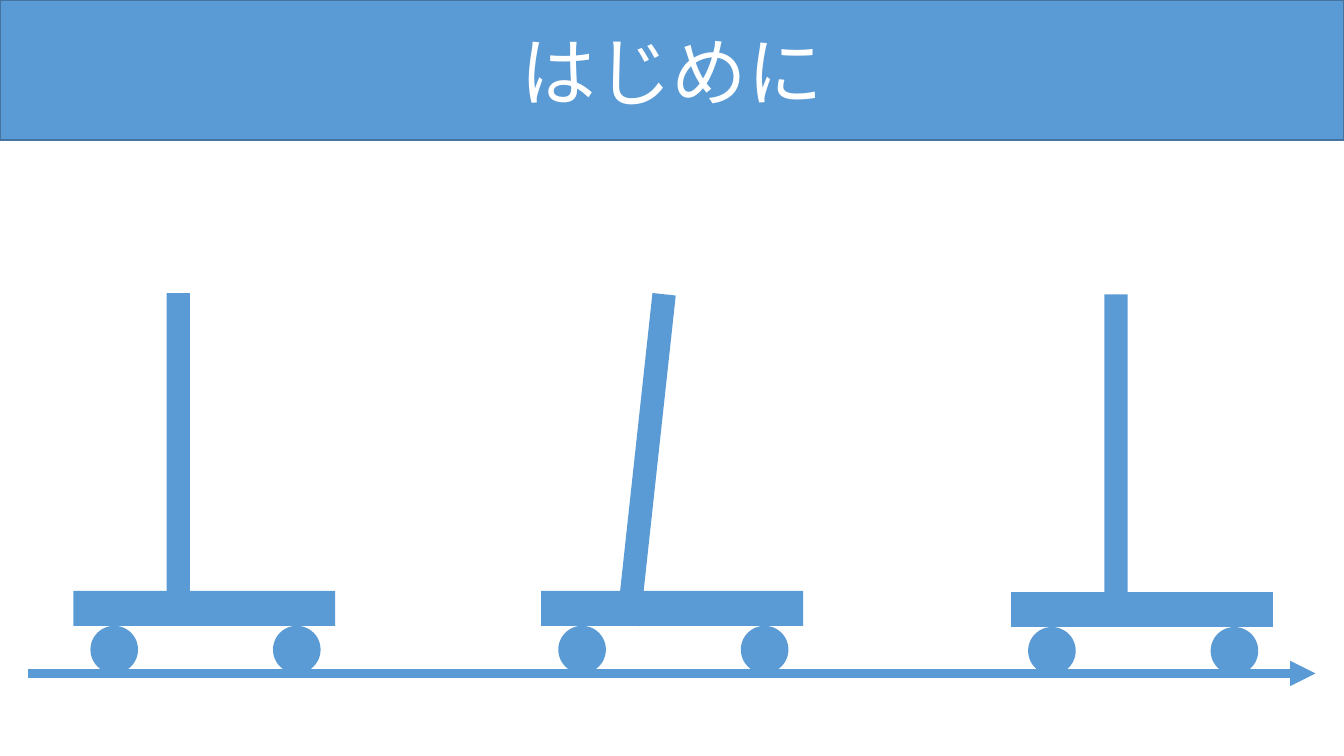
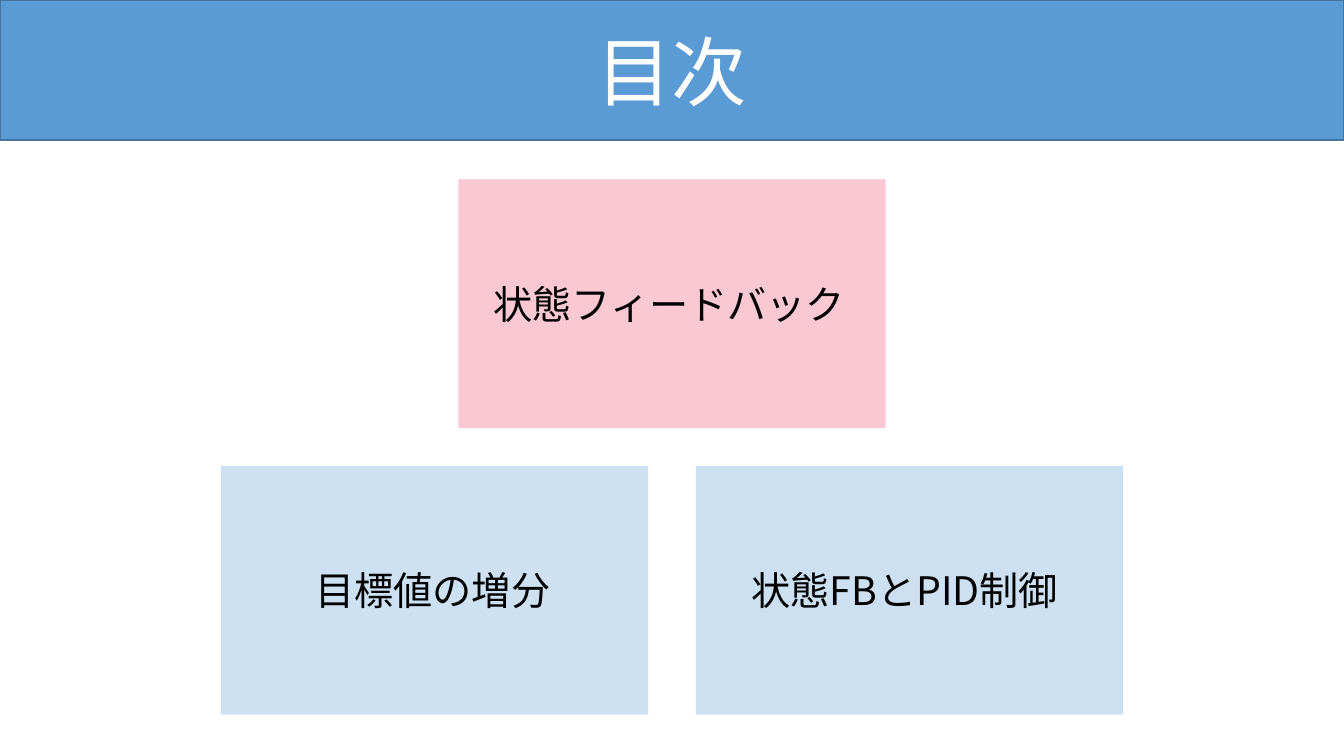
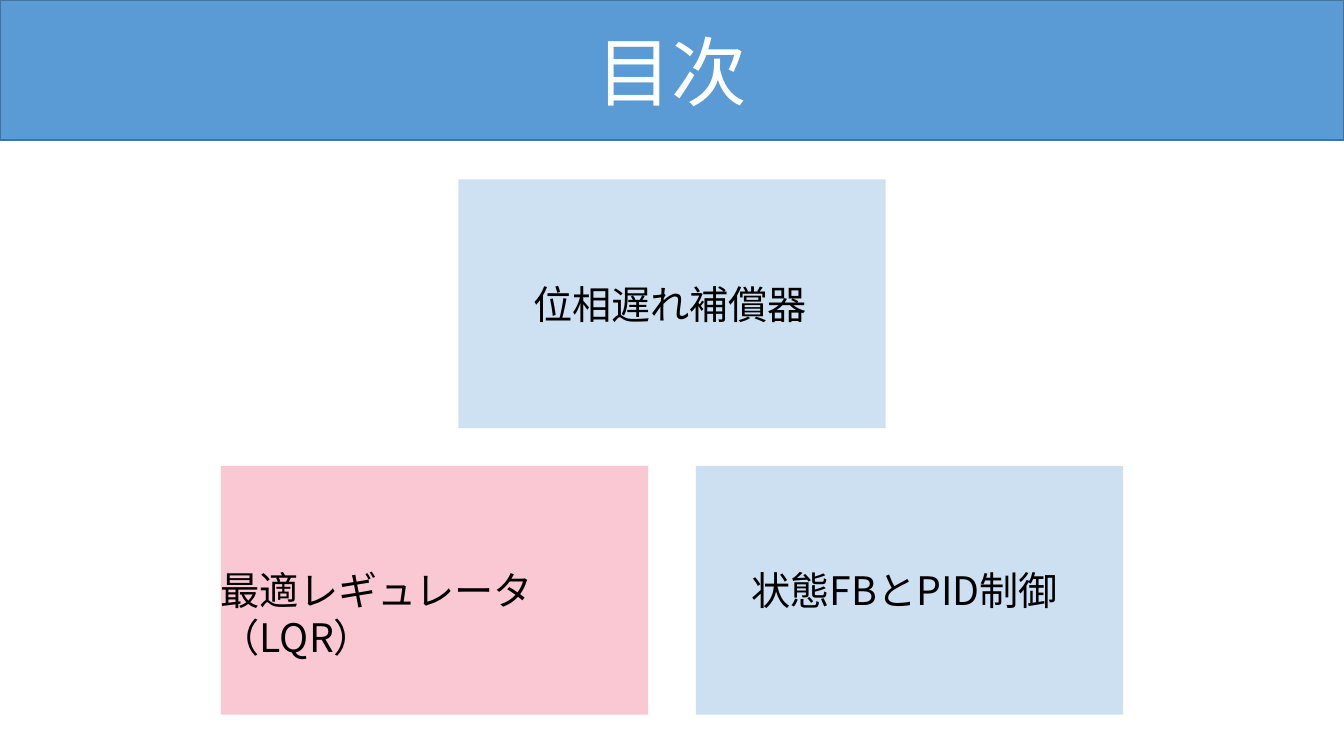
import pptx
import pptx.dml.color
import pptx.enum.dml
import pptx.enum.shapes
import pptx.enum.text
import pptx.oxml
import pptx.oxml.ns
import pptx.util

Cm, Pt = pptx.util.Cm, pptx.util.Pt
qn = pptx.oxml.ns.qn
SHAPE = pptx.enum.shapes.MSO_SHAPE
ALIGN = pptx.enum.text.PP_ALIGN
ANCHOR = pptx.enum.text.MSO_ANCHOR

# Shared look
SLIDE_W, SLIDE_H = 33.87, 19.05
BAND_H = 3.53
FONT = "Noto Sans CJK JP"
BLUE, BAND_LINE, PALE, PINK = "5B9BD5", "43739E", "CDE1F2", "FAC8D3"
TITLE = {"size": Pt(54), "color": "FFFFFF", "align": ALIGN.CENTER}
LABEL = {"size": Pt(28), "color": "000000", "align": ALIGN.LEFT}

# Card grid
CARD_W, CARD_H = 10.77, 6.27
GAP_X, GAP_Y = 1.2, 0.95
CARDS_TOP = 4.52
LABEL_H = 1.45


def rgb(value):
    return pptx.dml.color.RGBColor.from_string(value)


def add_sub(parent, tag, **attrs):
    el = pptx.oxml.parse_xml(f"<{tag} {pptx.oxml.ns.nsdecls('a')}/>")
    for name, value in attrs.items():
        el.set(name, value)
    parent.append(el)


def block(s, kind, x, y, w, h, fill=BLUE, line=None, alpha=None):
    sp = s.shapes.add_shape(kind, Cm(x), Cm(y), Cm(w), Cm(h))
    sp.shadow.inherit = False
    sp.fill.solid()
    sp.fill.fore_color.rgb = rgb(fill)
    if alpha:
        color = sp.fill._xPr.find(qn("a:solidFill"))[0]
        add_sub(color, "a:alpha", val=str(alpha * 1000))
    if line:
        sp.line.color.rgb = rgb(line)
        sp.line.width = Pt(1)
    else:
        sp.line.fill.background()
    return sp


def write(sp, text, style, wrap, anchor):
    tf = sp.text_frame
    for name, value in {"word_wrap": wrap, "vertical_anchor": anchor,
                        "auto_size": pptx.enum.text.MSO_AUTO_SIZE.NONE}.items():
        setattr(tf, name, value)
    p = tf.paragraphs[0]
    for name, value in {"alignment": style["align"], "space_before": Pt(0),
                        "line_spacing": Pt(style["size"].pt * 1.2)}.items():
        setattr(p, name, value)
    r = p.add_run()
    r.text = text
    for name, value in {"name": FONT, "size": style["size"]}.items():
        setattr(r.font, name, value)
    r.font.color.rgb = rgb(style["color"])
    add_sub(r.font._element, "a:ea", typeface=FONT)


def titled_slide(prs, text):
    s = prs.slides.add_slide(prs.slide_layouts[5])
    block(s, SHAPE.RECTANGLE, 0, 0, SLIDE_W, BAND_H, line=BAND_LINE)
    # Title sits on the band, one 54 pt square per character
    sp = s.shapes.title
    w, h = len(text) * 1.91 + 0.5, 2.56
    box = {"left": (SLIDE_W - w) / 2, "top": (BAND_H - h) / 2, "width": w, "height": h}
    for name, value in box.items():
        setattr(sp, name, Cm(value))
    s.shapes._spTree.append(sp._element)
    write(sp, text, TITLE, False, ANCHOR.MIDDLE)
    return s


def ground_arrow(s, x1, x2, y):
    cn = s.shapes.add_connector(pptx.enum.shapes.MSO_CONNECTOR.STRAIGHT,
                                Cm(x1), Cm(y), Cm(x2), Cm(y))
    cn.line.color.rgb = rgb(BLUE)
    cn.line.width = Pt(6)
    add_sub(cn.line._get_or_add_ln(), "a:tailEnd", type="triangle")
    add_sub(cn._element.spPr, "a:effectLst")


def cart(s, x, y, tilt=0):
    """Pole, wheels and platform, from the pole's top edge down."""
    pole = block(s, SHAPE.RECTANGLE, x + 2.35, y, 0.59, 8.38)
    pole.rotation = tilt
    for dx in (0.43, 5.03):
        block(s, SHAPE.OVAL, x + dx, y + 8.38, 1.2, 1.2)
    block(s, SHAPE.RECTANGLE, x, y + 7.5, 6.6, 0.88)


def card(s, x, y, text, label_w, fill, alpha=None):
    block(s, SHAPE.RECTANGLE, x, y, CARD_W, CARD_H, fill, alpha=alpha)
    sp = s.shapes.add_textbox(Cm(x + (CARD_W - label_w) / 2),
                              Cm(y + (CARD_H - LABEL_H) / 2), Cm(label_w), Cm(LABEL_H))
    write(sp, text, LABEL, True, ANCHOR.TOP)


def intro_slide(prs):
    s = titled_slide(prs, "はじめに")
    ground_arrow(s, 0.71, 33.15, 16.97)
    for x, y, tilt in ((1.85, 7.39, 0), (13.64, 7.39, 6.2), (25.48, 7.42, 0)):
        cart(s, x, y, tilt)


def contents_slide(prs, top, left, right):
    s = titled_slide(prs, "目次")
    mid = SLIDE_W / 2
    row2 = CARDS_TOP + CARD_H + GAP_Y
    card(s, mid - CARD_W / 2, CARDS_TOP, *top)
    card(s, mid - GAP_X / 2 - CARD_W, row2, *left)
    card(s, mid + GAP_X / 2, row2, *right)


def main():
    prs = pptx.Presentation()
    prs.slide_width, prs.slide_height = Cm(SLIDE_W), Cm(SLIDE_H)
    pid_card = ("状態FBとPID制御", 8.46, BLUE, 30)
    intro_slide(prs)
    contents_slide(prs, ("状態フィードバック", 9.5, PINK),
                   ("目標値の増分", 6.5, PALE), pid_card)
    contents_slide(prs, ("位相遅れ補償器", 7.5, PALE),
                   ("最適レギュレータ（LQR）", 11.27, PINK), pid_card)
    prs.save("out.pptx")


if __name__ == "__main__":
    main()
